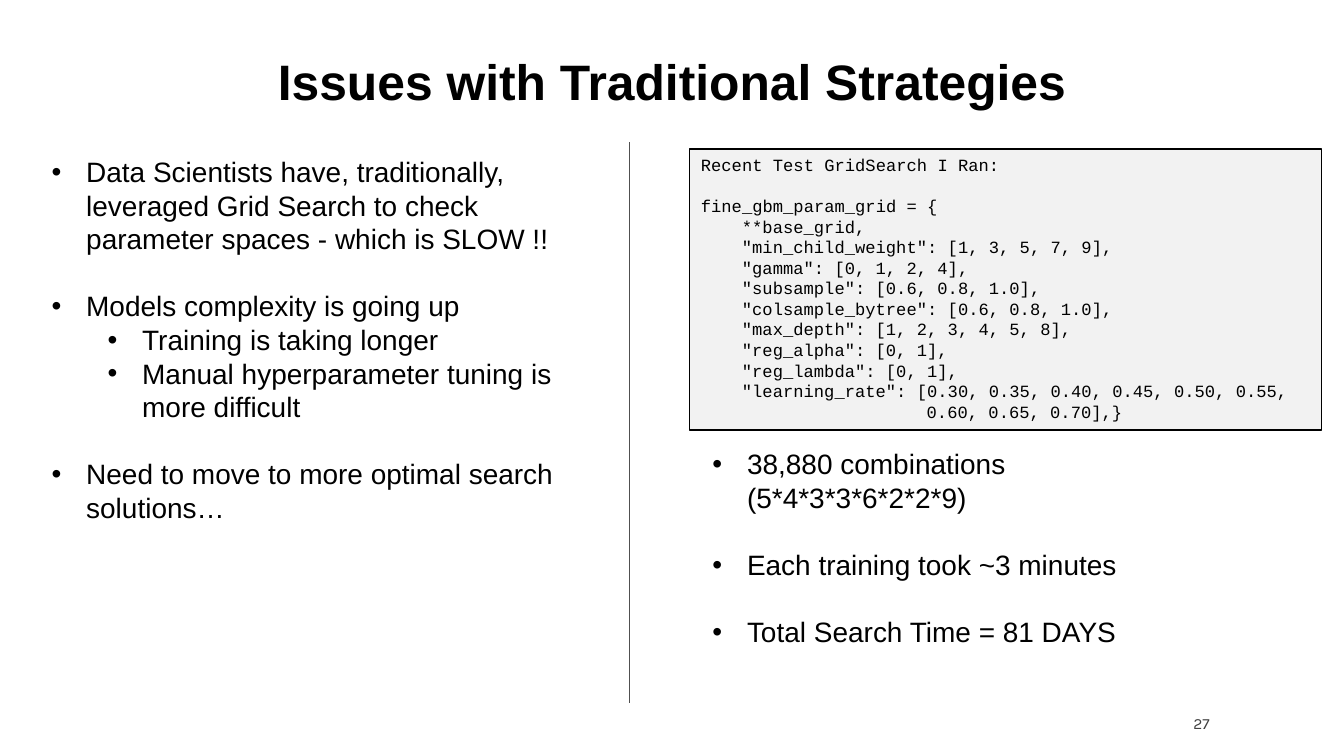
from pptx import Presentation
from pptx.dml.color import RGBColor
from pptx.enum import shapes, text
from pptx.oxml.xmlchemy import OxmlElement
from pptx.util import Inches, Pt

COLORS = {"ink": "000000", "panel": "F2F2F2", "rule": "505050", "page": "404040"}

POINTS = [
    (0, "Data Scientists have, traditionally, leveraged Grid Search to check "
        "parameter spaces - which is SLOW !!"),
    (0, "Models complexity is going up"),
    (1, "Training is taking longer"),
    (1, "Manual hyperparameter tuning is more difficult"),
    (0, "Need to move to more optimal search solutions…"),
]
COSTS = [
    (0, "38,880 combinations\n(5*4*3*3*6*2*2*9)"),
    (0, "Each training took ~3 minutes"),
    (0, "Total Search Time = 81 DAYS"),
]
# Each code line is paired with its indent in characters.
CODE = [
    (0, "Recent Test GridSearch I Ran:"),
    (0, "fine_gbm_param_grid = {"),
    (4, "**base_grid,"),
    (4, '"min_child_weight": [1, 3, 5, 7, 9],'),
    (4, '"gamma": [0, 1, 2, 4],'),
    (4, '"subsample": [0.6, 0.8, 1.0],'),
    (4, '"colsample_bytree": [0.6, 0.8, 1.0],'),
    (4, '"max_depth": [1, 2, 3, 4, 5, 8],'),
    (4, '"reg_alpha": [0, 1],'),
    (4, '"reg_lambda": [0, 1],'),
    (4, '"learning_rate": [0.30, 0.35, 0.40, 0.45, 0.50, 0.55,'),
    (22, "0.60, 0.65, 0.70],}"),
]


def color(name):
    return RGBColor.from_string(COLORS[name])


class Deck:
    body, mono, small = "Arial", "Courier New", "Karla"
    lead = 1.2  # line height as a multiple of the text size

    def __init__(self, slide):
        self.slide = slide

    def place(self, shape, box):
        shape.left, shape.top, shape.width, shape.height = map(Inches, box)
        frame = shape.text_frame
        frame.word_wrap = True
        frame.auto_size = text.MSO_AUTO_SIZE.NONE
        return frame

    def style(self, para, size, font, ink="ink", bold=False):
        for run in para.runs:
            run.font.size, run.font.name, run.font.bold = Pt(size), font, bold
            run.font.color.rgb = color(ink)

    def indent(self, para, left, hang=0):
        props = para._p.get_or_add_pPr()
        props.set("marL", str(Inches(left)))
        props.set("indent", str(Inches(-hang)))
        return props

    def fill(self, frame, lines, size, font):
        """Write (key, words) lines with fixed spacing and yield each paragraph."""
        for i, (key, words) in enumerate(lines):
            para = frame.paragraphs[0] if i == 0 else frame.add_paragraph()
            para.text = words
            para.alignment = text.PP_ALIGN.LEFT
            para.line_spacing = Pt(size * self.lead)
            para.space_before = para.space_after = Pt(0)
            self.style(para, size, font)
            yield i, key, para

    def title(self, words, box):
        frame = self.place(self.slide.shapes.title, box)
        frame.vertical_anchor = text.MSO_ANCHOR.BOTTOM
        para = frame.paragraphs[0]
        para.text = words
        para.alignment = text.PP_ALIGN.CENTER
        para.line_spacing = 0.9
        self.style(para, 32, self.body, bold=True)

    def bullets(self, index, lines, box, size=18):
        frame = self.place(self.slide.placeholders[index], box)
        for i, level, para in self.fill(frame, lines, size, self.body):
            para.level = level
            if i and level == 0:
                para.space_before = Pt(size * self.lead)
            props = self.indent(para, 0.31 + 0.5 * level, 0.31)
            face = OxmlElement("a:buFont")
            face.set("typeface", self.body)
            mark = OxmlElement("a:buChar")
            mark.set("char", "•")
            props.extend([face, mark])

    def code(self, lines, box, size=11):
        panel = self.slide.shapes.add_shape(
            shapes.MSO_SHAPE.RECTANGLE, *map(Inches, box))
        panel.shadow.inherit = False
        panel.fill.solid()
        panel.fill.fore_color.rgb = color("panel")
        panel.line.color.rgb = color("ink")
        panel.line.width = Pt(0.75)
        frame = self.place(panel, box)
        frame.vertical_anchor = text.MSO_ANCHOR.TOP
        for i, chars, para in self.fill(frame, lines, size, self.mono):
            self.indent(para, chars * 0.6 * size / 72)
            if i == 1:
                para.space_before = Pt(size * self.lead)

    def rule(self, x, top, end):
        line = self.slide.shapes.add_connector(
            shapes.MSO_CONNECTOR.STRAIGHT,
            Inches(x), Inches(top), Inches(x), Inches(end))
        line.line.color.rgb = color("rule")
        line.line.width = Pt(0.75)
        line._element.spPr.append(OxmlElement("a:effectLst"))

    def number(self, words, box):
        frame = self.place(self.slide.shapes.add_textbox(*map(Inches, box)), box)
        frame.vertical_anchor = text.MSO_ANCHOR.MIDDLE
        para = frame.paragraphs[0]
        para.text = words
        para.alignment = text.PP_ALIGN.RIGHT
        self.style(para, 10, self.small, "page")


def main():
    show = Presentation()
    show.slide_width, show.slide_height = Inches(12), Inches(6.75)
    deck = Deck(show.slides.add_slide(show.slide_layouts[3]))
    deck.title("Issues with Traditional Strategies", (0.55, 0.39, 10.91, 0.65))
    deck.number("27", (8.2, 6.28, 2.7, 0.36))
    deck.bullets(1, POINTS, (0.36, 1.33, 5.02, 3.74))
    deck.code(CODE, (6.16, 1.33, 5.64, 2.51))
    deck.bullets(2, COSTS, (6.26, 3.94, 5.02, 2.52))
    deck.rule(5.62, 1.27, 6.28)
    show.save("out.pptx")


if __name__ == "__main__":
    main()
